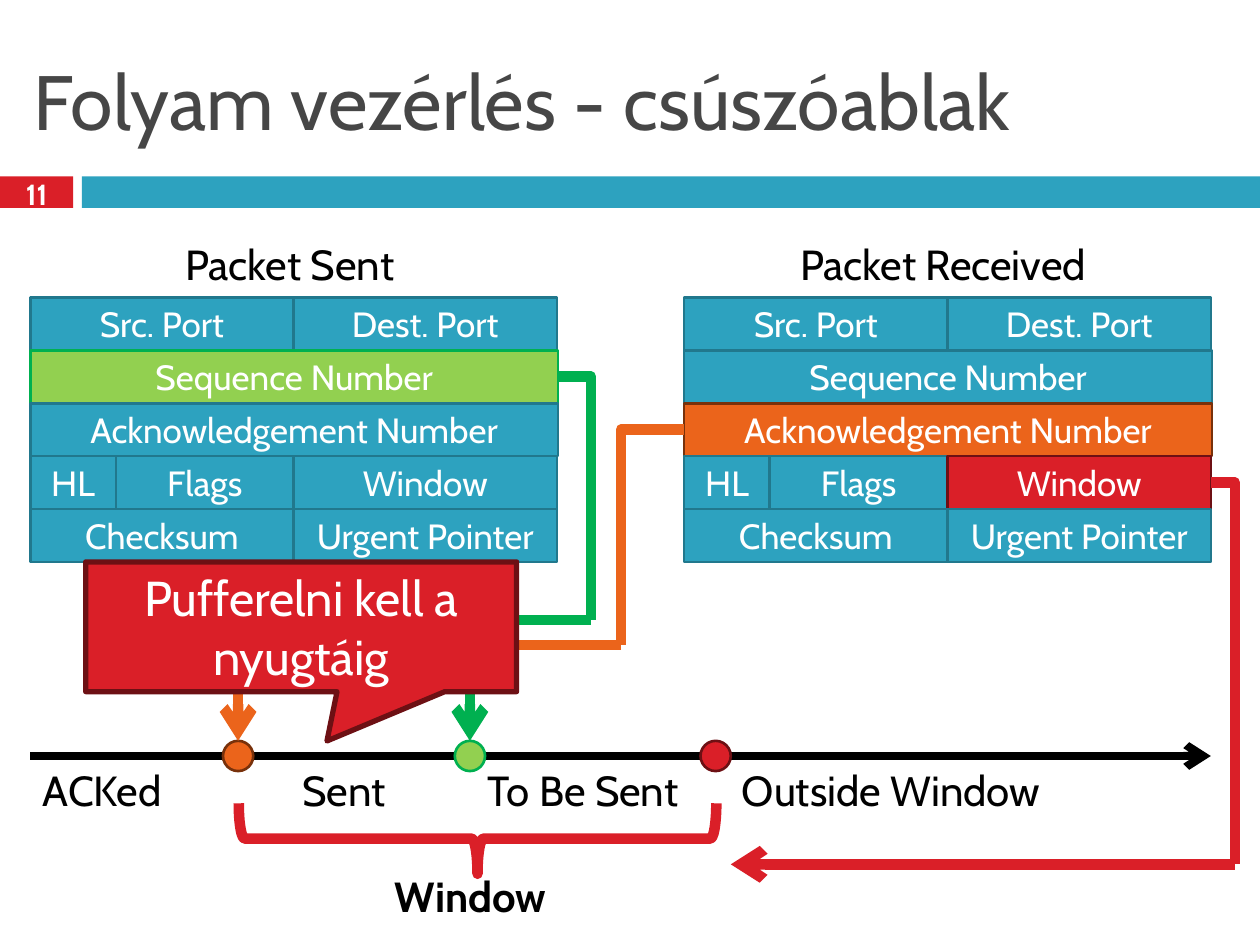
from pptx import Presentation
from pptx.dml.color import RGBColor
from pptx.enum.shapes import MSO_CONNECTOR, MSO_SHAPE
from pptx.enum.text import MSO_ANCHOR, PP_ALIGN
from pptx.oxml.ns import qn
from pptx.util import Inches, Pt
from lxml.etree import SubElement

THEME = {
    "font": "Cabin",
    "ink": "000000", "title": "464646", "white": "FFFFFF",
    "blue": ("2DA2BF", "21788D"),
    "green": ("92D050", "00B050"),
    "orange": ("EB641B", "78310B"),
    "red": ("DA1F28", "6D1014"),
    "title_size": 44, "callout_size": 28, "label_size": 24,
    "field_size": 20, "number_size": 16.6,
}

TITLE = "Folyam vezérlés - csúszóablak"
NUMBER = "11"
CALLOUT = "Pufferelni kell a nyugtáig"
HALF, FULL = 2.09, 4.19
FIELDS = [
    [("Src. Port", HALF), ("Dest. Port", HALF)],
    [("Sequence Number", FULL)],
    [("Acknowledgement Number", FULL)],
    [("HL", 0.68), ("Flags", 1.41), ("Window", HALF)],
    [("Checksum", HALF), ("Urgent Pointer", HALF)],
]
PACKETS = [
    ("Packet Sent", 0.24, (1.29, 2.02), {"Sequence Number": "green"}),
    ("Packet Received", 5.43, (6.12, 2.73),
     {"Acknowledgement Number": "orange", "Window": "red"}),
]
ROW_TOP, ROW_H = 2.36, 0.42
RANGES = [("ACKed", 0.24, 1.27), ("Sent", 2.3, 0.89),
          ("To Be Sent", 3.77, 1.85), ("Outside Window", 5.79, 2.65)]
MARKS = [("orange", 1.89), ("green", 3.73), ("red", 5.68)]
AXIS_Y, DOT = 6, 0.24

prs = Presentation()
prs.slide_width, prs.slide_height = Inches(10), Inches(7.5)
s = prs.slides.add_slide(prs.slide_layouts[6])


def rgb(color):
    return RGBColor.from_string(color)


def write(sp, text, size=THEME["label_size"], color=THEME["ink"], bold=False,
          align=PP_ALIGN.CENTER, anchor=MSO_ANCHOR.MIDDLE, wrap=True):
    tf = sp.text_frame
    tf.word_wrap = wrap
    tf.vertical_anchor = anchor
    p = tf.paragraphs[0]
    p.alignment = align
    r = p.add_run()
    r.text = text
    r.font.name, r.font.size, r.font.bold = THEME["font"], Pt(size), bold
    r.font.color.rgb = rgb(color)


def label(text, x, y, w, h=0.5, **fmt):
    tb = s.shapes.add_textbox(Inches(x), Inches(y), Inches(w), Inches(h))
    write(tb, text, **{"anchor": MSO_ANCHOR.TOP, "wrap": False, **fmt})


def shape(kind, x, y, w, h, fill=None, line=None, width=1.5):
    sp = s.shapes.add_shape(kind, Inches(x), Inches(y), Inches(w), Inches(h))
    sp.shadow.inherit = False
    if fill:
        sp.fill.solid()
        sp.fill.fore_color.rgb = rgb(fill)
    else:
        sp.fill.background()
    if line:
        sp.line.color.rgb = rgb(line)
        sp.line.width = Pt(width)
    else:
        sp.line.fill.background()
    return sp


def connect(start, end, color, width=6, bent=False, arrow=False):
    kind = MSO_CONNECTOR.ELBOW if bent else MSO_CONNECTOR.STRAIGHT
    c = s.shapes.add_connector(kind, *[Inches(v) for v in (*start, *end)])
    c.line.color.rgb = rgb(color)
    c.line.width = Pt(width)
    spPr = c._element.spPr
    if bent:
        spPr.find(qn("a:prstGeom")).set("prst", "bentConnector2")
    if arrow:
        SubElement(c.line._get_or_add_ln(), qn("a:tailEnd"), type="arrow")
    SubElement(spPr, qn("a:effectLst"))
    return c


def packet(name, left, caption, marked):
    cells = {}
    for i, row in enumerate(FIELDS):
        x = left
        for text, w in row:
            fill, line = THEME[marked.get(text, "blue")]
            sp = shape(MSO_SHAPE.RECTANGLE, x, ROW_TOP + i * ROW_H, w, ROW_H, fill, line)
            write(sp, text, size=THEME["field_size"], color=THEME["white"], wrap=False)
            cells[text] = sp
            x += w
    label(name, caption[0], 1.84, caption[1])
    return cells


red, red_edge = THEME["red"]
orange = THEME["orange"][0]
green = THEME["green"][1]

shape(MSO_SHAPE.RECTANGLE, 0, 1.4, 0.58, 0.25, red)
shape(MSO_SHAPE.RECTANGLE, 0.65, 1.4, 9.35, 0.25, THEME["blue"][0])
label(TITLE, 0.17, 0.25, 9.67, 1.08, size=THEME["title_size"], color=THEME["title"],
      align=PP_ALIGN.LEFT, anchor=MSO_ANCHOR.MIDDLE, wrap=True)
label(NUMBER, 0, 1.37, 0.58, 0.33, size=THEME["number_size"], color=THEME["white"],
      bold=True, anchor=MSO_ANCHOR.MIDDLE)

sent, received = [packet(*spec_row) for spec_row in PACKETS]

connect((0.24, AXIS_Y), (9.61, AXIS_Y), THEME["ink"], width=4.5, arrow=True)
for text, x, w in RANGES:
    label(text, x, 6.02, w, align=PP_ALIGN.LEFT)
dots = {name: shape(MSO_SHAPE.OVAL, x - DOT / 2, AXIS_Y - DOT / 2, DOT, DOT, *THEME[name])
        for name, x in MARKS}

ROUTES = [
    (received["Acknowledgement Number"], 1, (5.43, 3.41), (4.93, 5.12), "orange", orange),
    (sent["Sequence Number"], 3, (4.43, 2.99), (4.69, 4.92), "green", green),
]
for field, side, start, corner, mark, color in ROUTES:
    connect(start, corner, color, bent=True).begin_connect(field, side)
    end = (dict(MARKS)[mark], AXIS_Y - DOT / 2)
    connect(corner, end, color, bent=True, arrow=True).end_connect(dots[mark], 0)

brace = shape(MSO_SHAPE.LEFT_BRACE, 3.51, 4.76, 0.56, 3.79, line=red, width=6)
brace.rotation = 270
label("Window", 2.99, 6.86, 1.49, 0.68, bold=True)

connect((9.61, 3.82), (9.8, 6.86), red, bent=True).begin_connect(received["Window"], 3)
connect((9.8, 6.86), (5.8, 6.86), red, arrow=True)

callout = shape(MSO_SHAPE.RECTANGULAR_CALLOUT, 0.68, 4.46, 3.42, 1.03, red, red_edge, 3)
callout.adjustments[0], callout.adjustments[1] = 0.06, 0.88
write(callout, CALLOUT, size=THEME["callout_size"], color=THEME["white"])

prs.save("out.pptx")
